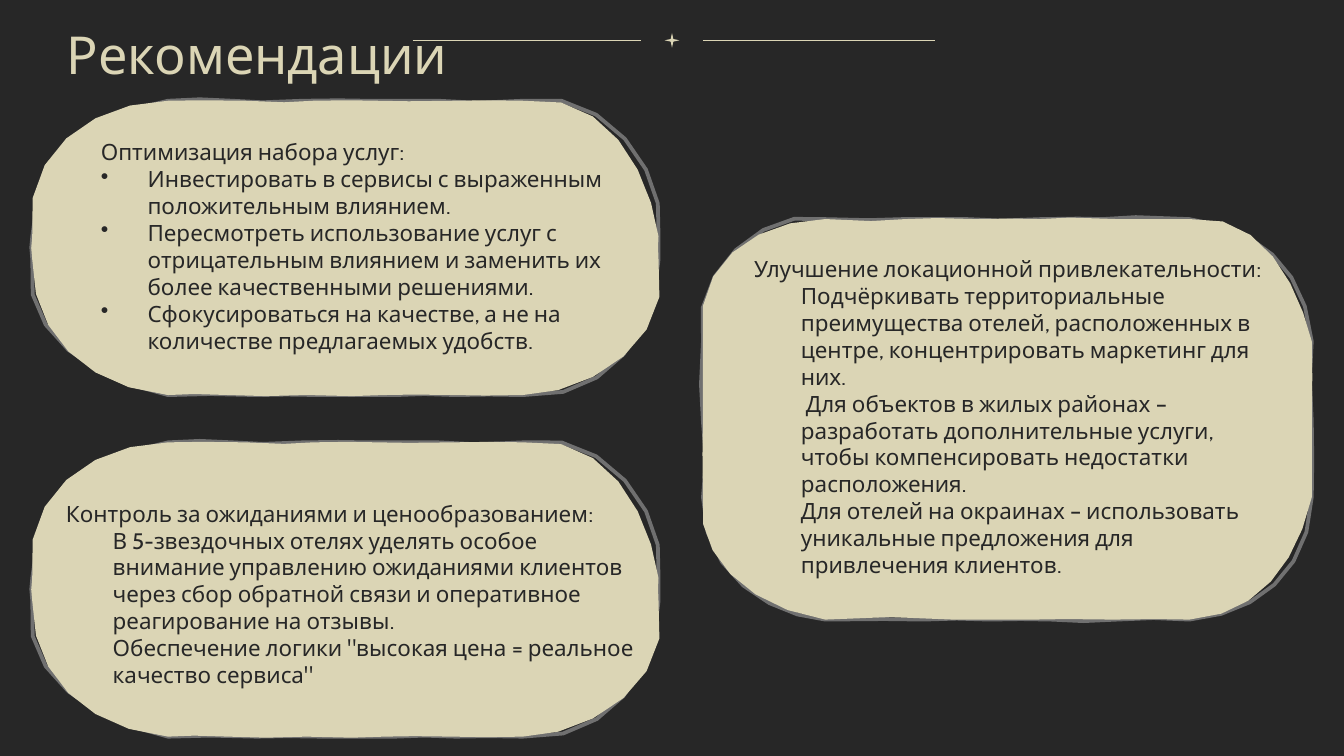
import pptx
import pptx.util
import pptx.dml.color
import pptx.enum.shapes
import pptx.oxml
import pptx.oxml.ns
from lxml import etree

Pt = pptx.util.Pt
RGBColor = pptx.dml.color.RGBColor
DARK = RGBColor(0x27, 0x27, 0x27)
CREAM = RGBColor(0xDB, 0xD5, 0xB5)
GRAY = RGBColor(0x70, 0x70, 0x70)
FONT = "Cabin"
UNIT = Pt(0.72)  # grid step of the card outlines
CORNER_STEPS = 6  # straight pieces per rounded corner
WAVE_STEPS = 2    # straight pieces per wave along a side

# Card outlines: start point, then curves (two control points and an end)
WIDE_START = (0, 101)
WIDE_EDGE = [
    (-2, 49, 53, 6, 101, 0), (117, -4, 132, 1, 149, 0),
    (165, -1, 175, 4, 201, 0), (228, -4, 229, 3, 249, 0),
    (269, -3, 285, 3, 302, 0), (319, -2, 343, 6, 365, 0),
    (425, -12, 474, 54, 466, 101), (467, 109, 465, 112, 466, 118),
    (466, 167, 430, 224, 365, 219), (344, 219, 336, 218, 315, 219),
    (294, 221, 289, 215, 270, 219), (252, 223, 240, 215, 215, 219),
    (190, 223, 187, 214, 167, 219), (147, 224, 117, 212, 101, 219),
    (48, 208, -10, 174, 0, 118), (-2, 112, 0, 106, 0, 101)]
WIDE_BODY = [
    (-9, 40, 43, 1, 101, 0), (116, -4, 134, 3, 159, 0),
    (184, -2, 193, 5, 209, 0), (226, -4, 245, 3, 257, 0),
    (269, -3, 288, 4, 313, 0), (337, -4, 345, 3, 365, 0),
    (427, -8, 459, 52, 466, 101), (467, 107, 464, 110, 466, 118),
    (479, 177, 417, 218, 365, 219), (342, 224, 331, 215, 313, 219),
    (294, 223, 273, 214, 262, 219), (251, 224, 228, 216, 204, 219),
    (180, 223, 167, 217, 146, 219), (125, 221, 114, 215, 101, 219),
    (39, 213, -1, 172, 0, 118), (-2, 112, 0, 107, 0, 101)]
TALL_START = (0, 91)
TALL_EDGE = [
    (-11, 41, 46, -10, 91, 0), (115, -2, 135, 4, 148, 0),
    (161, -4, 178, 4, 197, 0), (215, -4, 228, 7, 251, 0),
    (274, -6, 288, 5, 297, 0), (306, -5, 333, 1, 362, 0),
    (410, 6, 448, 34, 453, 91), (455, 106, 447, 130, 453, 150),
    (459, 170, 448, 188, 453, 207), (451, 263, 411, 294, 362, 298),
    (350, 301, 321, 292, 308, 298), (295, 304, 271, 295, 259, 298),
    (247, 300, 226, 295, 213, 298), (200, 301, 178, 293, 164, 298),
    (151, 302, 124, 293, 91, 298), (51, 295, -1, 264, 0, 207),
    (-1, 195, 7, 163, 0, 151), (-7, 139, 3, 108, 0, 91)]
TALL_BODY = [
    (-9, 35, 37, 1, 91, 0), (120, -3, 133, 7, 151, 0),
    (168, -7, 179, 5, 202, 0), (225, -5, 239, 4, 251, 0),
    (262, -4, 280, 1, 308, 0), (336, -1, 351, 1, 362, 0),
    (416, -6, 443, 50, 453, 91), (455, 107, 452, 126, 453, 149),
    (454, 172, 452, 191, 453, 207), (442, 256, 413, 295, 362, 298),
    (345, 298, 330, 297, 305, 298), (280, 298, 258, 297, 246, 298),
    (233, 299, 206, 297, 186, 298), (166, 298, 113, 293, 91, 298),
    (31, 289, -7, 247, 0, 207), (-5, 185, 4, 163, 0, 148),
    (-4, 132, 4, 110, 0, 91)]

OFFER = [
    "Оптимизация набора услуг:",
    "Инвестировать в сервисы с выраженным положительным влиянием.",
    "Пересмотреть использование услуг с отрицательным влиянием и заменить "
    "их более качественными решениями.",
    "Сфокусироваться на качестве, а не на количестве предлагаемых удобств."]
LOCATION = [
    "Улучшение локационной привлекательности:",
    "Подчёркивать территориальные преимущества отелей, расположенных в "
    "центре, концентрировать маркетинг для них.",
    " Для объектов в жилых районах – разработать дополнительные услуги, "
    "чтобы компенсировать недостатки расположения.",
    "Для отелей на окраинах – использовать уникальные предложения для "
    "привлечения клиентов."]
PRICING = [
    "Контроль за ожиданиями и ценообразованием:",
    "В 5-звездочных отелях уделять особое внимание управлению ожиданиями "
    "клиентов через сбор обратной связи и оперативное реагирование на отзывы.",
    "Обеспечение логики \"высокая цена = реальное качество сервиса\""]


def flatten(start, curves):
    """Points along a chain of cubic curves."""
    points = []
    x0, y0 = start
    for x1, y1, x2, y2, x3, y3 in curves:
        corner = x3 != x0 and abs(y3 - y0) > 40
        steps = CORNER_STEPS if corner else WAVE_STEPS
        for i in range(1, steps + 1):
            t = i / steps
            a, b, c, d = (1 - t)**3, 3*t*(1 - t)**2, 3*t*t*(1 - t), t**3
            points.append((UNIT * (a*x0 + b*x1 + c*x2 + d*x3),
                           UNIT * (a*y0 + b*y1 + c*y2 + d*y3)))
        x0, y0 = x3, y3
    return points


def add_outline(s, x, y, start, curves):
    points = flatten(start, curves)
    builder = s.shapes.build_freeform(*points[-1])
    builder.add_line_segments(points, close=True)
    sp = builder.convert_to_shape(Pt(x), Pt(y))
    sp.shadow.inherit = False
    return sp


def add_card(s, x, y, start, edge, body):
    """Cream card over a loosely matching gray edge."""
    sp = add_outline(s, x, y, start, edge)
    sp.fill.background()
    sp.line.color.rgb = GRAY
    sp.line.width = Pt(2)
    sp = add_outline(s, x, y, start, body)
    sp.fill.solid()
    sp.fill.fore_color.rgb = CREAM
    sp.line.fill.background()


def add_rule(s, x1, x2, y):
    line = s.shapes.add_connector(
        pptx.enum.shapes.MSO_CONNECTOR.STRAIGHT, Pt(x1), Pt(y), Pt(x2), Pt(y))
    line.line.color.rgb = CREAM
    line.line.width = Pt(0.75)
    etree.SubElement(line._element.spPr, pptx.oxml.ns.qn("a:effectLst"))


def add_star(s, cx, cy, size):
    sp = s.shapes.add_shape(
        pptx.enum.shapes.MSO_SHAPE.STAR_4_POINT, Pt(cx - size / 2),
        Pt(cy - size / 2), Pt(size), Pt(size))
    sp.adjustments[0] = 0.125
    sp.shadow.inherit = False
    sp.fill.solid()
    sp.fill.fore_color.rgb = CREAM
    sp.line.fill.background()


def set_indent(p, left, first, bullet=None):
    pPr = p._p.get_or_add_pPr()
    pPr.set("marL", str(Pt(left)))
    pPr.set("indent", str(Pt(first)))
    if bullet:
        etree.SubElement(pPr, pptx.oxml.ns.qn("a:buChar")).set("char", bullet)


def add_text(s, lines, x, y, w, h, size=12, color=DARK, listed=True,
             bullet=None):
    """Text box; in a list the first line is the heading of the others."""
    tf = s.shapes.add_textbox(Pt(x), Pt(y), Pt(w), Pt(h)).text_frame
    tf.word_wrap = True
    tf.margin_left = tf.margin_right = Pt(7.2)
    tf.margin_top = tf.margin_bottom = Pt(7.2)
    for i, text in enumerate(lines):
        p = tf.paragraphs[0] if i == 0 else tf.add_paragraph()
        if listed and i == 0:
            set_indent(p, 36, -25)
        elif listed:
            set_indent(p, 36, -25 if bullet else 0, bullet)
        r = p.add_run()
        r.text = text
        r.font.size = Pt(size)
        r.font.name = FONT
        r.font.color.rgb = color


def main():
    prs = pptx.Presentation()
    prs.slide_width, prs.slide_height = Pt(720), Pt(405)
    s = prs.slides.add_slide(prs.slide_layouts[6])
    s.background.fill.solid()
    s.background.fill.fore_color.rgb = DARK
    # Left cards
    for y in (237, 54):
        add_card(s, 17.3, y, WIDE_START, WIDE_EDGE, WIDE_BODY)
    # Star between two rules
    add_star(s, 360, 21.6, 7.9)
    add_rule(s, 221, 343.4, 21.6)
    add_rule(s, 376.6, 501, 21.6)
    # Title
    add_text(s, ["Рекомендации"], 28.8, 5, 247.7, 64.8, size=28, color=CREAM,
             listed=False)
    # Right card and the texts
    add_card(s, 376.6, 117.4, TALL_START, TALL_EDGE, TALL_BODY)
    add_text(s, OFFER, 36, 67, 307.4, 157.7, bullet="•")
    add_text(s, LOCATION, 386, 129.6, 307.4, 157.7)
    add_text(s, PRICING, 17.3, 260.6, 336.2, 140)
    prs.save("out.pptx")


if __name__ == "__main__":
    main()
